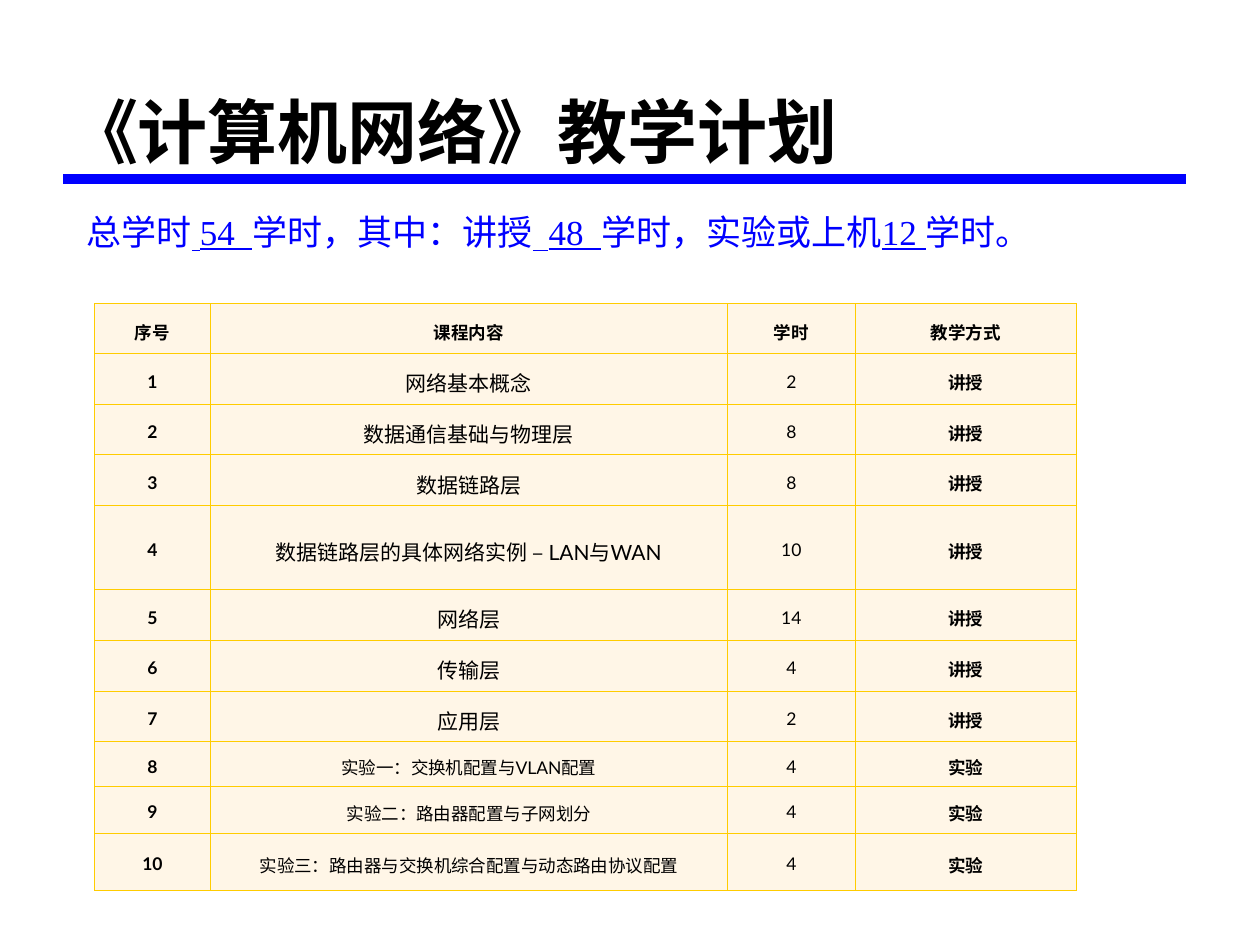
"""Build the teaching plan slide for the computer networks course."""
from lxml import etree
from pptx import Presentation
from pptx import util as u
from pptx.dml.color import RGBColor
from pptx.enum import shapes, text
from pptx.oxml import parse_xml
from pptx.oxml.ns import nsdecls, qn


def color(value):
    return RGBColor.from_string(value)


def add_borders(cell, value, width):
    properties = cell._tc.get_or_add_tcPr()
    for index, side in enumerate(("lnL", "lnR", "lnT", "lnB")):
        properties.insert(index, parse_xml(
            f'<a:{side} {nsdecls("a")} w="{u.Pt(width)}"><a:solidFill>'
            f'<a:srgbClr val="{value}"/></a:solidFill></a:{side}>'))


presentation = Presentation()
presentation.slide_width, presentation.slide_height = u.Pt(720), u.Pt(540)
slide = presentation.slides.add_slide(presentation.slide_layouts[5])

title = slide.shapes.title
title.left, title.top, title.width, title.height = u.Pt(31.7), u.Pt(12.2), u.Pt(645.8), u.Pt(90)
title.text_frame.text = "《计算机网络》教学计划"
title.text_frame.auto_size = text.MSO_AUTO_SIZE.NONE
title.text_frame.vertical_anchor = text.MSO_ANCHOR.BOTTOM
paragraph = title.text_frame.paragraphs[0]
paragraph.alignment = text.PP_ALIGN.LEFT
paragraph.font.name = "Montserrat"
paragraph.font.size = u.Pt(40)
paragraph.font.bold = True
paragraph.font.color.rgb = color("000000")

rule = slide.shapes.add_connector(
    shapes.MSO_CONNECTOR.STRAIGHT, u.Pt(36), u.Pt(102.2), u.Pt(678), u.Pt(102.2))
rule.line.color.rgb = color("0000FF")
rule.line.width = u.Pt(6)
etree.SubElement(rule._element.spPr, qn("a:effectLst"))

rows = [
    ("序号", "课程内容", "学时", "教学方式"),
    ("1", "网络基本概念", "2", "讲授"),
    ("2", "数据通信基础与物理层", "8", "讲授"),
    ("3", "数据链路层", "8", "讲授"),
    ("4", "数据链路层的具体网络实例 – LAN与WAN", "10", "讲授"),
    ("5", "网络层", "14", "讲授"),
    ("6", "传输层", "4", "讲授"),
    ("7", "应用层", "2", "讲授"),
    ("8", "实验一：交换机配置与VLAN配置", "4", "实验"),
    ("9", "实验二：路由器配置与子网划分", "4", "实验"),
    ("10", "实验三：路由器与交换机综合配置与动态路由协议配置", "4", "实验"),
]
column_widths = [66.2, 295.4, 73.2, 126.2]
row_heights = [28.5, 29, 29, 29, 48, 29, 29, 29, 25, 27, 32.6]
frame = slide.shapes.add_table(
    len(rows), len(column_widths), u.Pt(54), u.Pt(173.4),
    u.Pt(sum(column_widths)), u.Pt(sum(row_heights)))
table = frame.table
for column, width in zip(table.columns, column_widths):
    column.width = u.Pt(width)
for row, height in zip(table.rows, row_heights):
    row.height = u.Pt(height)
for row_index, row in enumerate(rows):
    for column_index, content in enumerate(row):
        cell = table.cell(row_index, column_index)
        cell.text = content
        cell.fill.solid()
        cell.fill.fore_color.rgb = color("FFF6E7")
        cell.vertical_anchor = text.MSO_ANCHOR.MIDDLE
        cell.margin_left = cell.margin_right = u.Pt(5.76)
        add_borders(cell, "FFCC00", 0.45)
        is_lecture_topic = column_index == 1 and row[3] == "讲授"
        paragraph = cell.text_frame.paragraphs[0]
        paragraph.alignment = text.PP_ALIGN.CENTER
        paragraph.line_spacing = 1.25
        paragraph.font.name = "Lato"
        paragraph.font.size = u.Pt(12 if is_lecture_topic else 10)
        paragraph.font.bold = row_index == 0 or column_index in (0, 3)
        paragraph.font.color.rgb = color("000000")

hours = slide.shapes.add_textbox(u.Pt(42.5), u.Pt(116.6), u.Pt(607), u.Pt(31.7))
hours.text_frame.word_wrap = True
hours.text_frame.auto_size = text.MSO_AUTO_SIZE.SHAPE_TO_FIT_TEXT
paragraph = hours.text_frame.paragraphs[0]
paragraph.font.name = "Times New Roman"
paragraph.font.size = u.Pt(20)
paragraph.font.color.rgb = color("0000FF")
segments = ["总学时", " 54  ", "学时，其中：讲授", "  48  ", "学时，实验或上机", "12 ", "学时。"]
for index, segment in enumerate(segments):
    run = paragraph.add_run()
    run.text = segment
    run.font.underline = index % 2 == 1

presentation.save("out.pptx")
